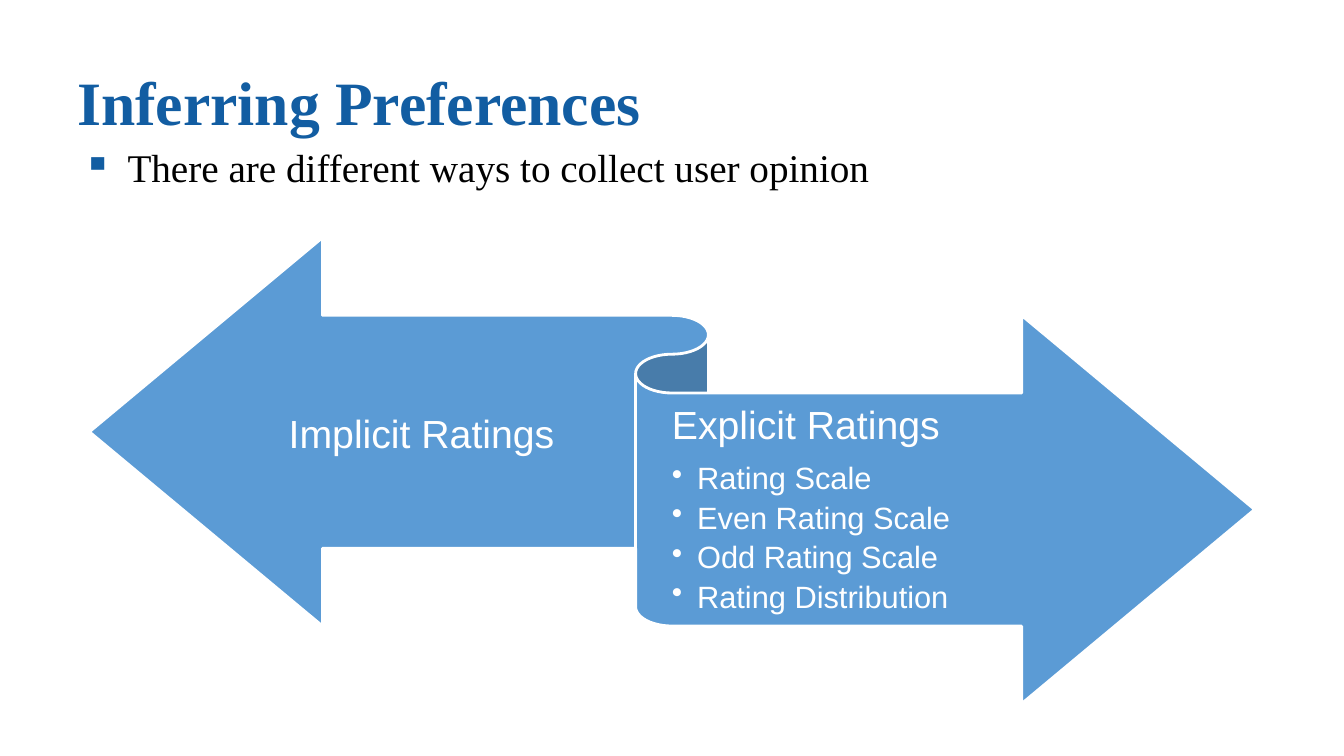
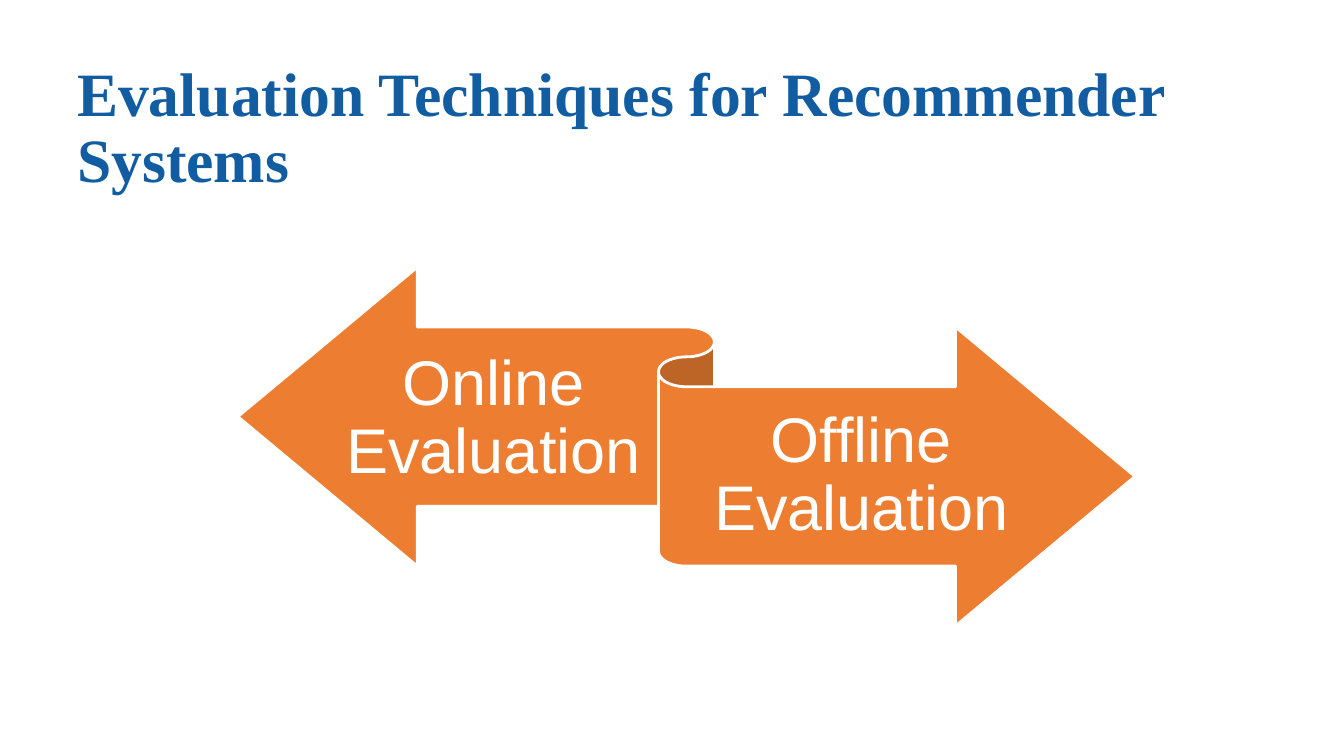
import pptx
import pptx.dml.color
import pptx.enum.shapes
import pptx.enum.text
import pptx.oxml.ns
import pptx.util
from lxml import etree

NAVY = pptx.dml.color.RGBColor(0x12, 0x5D, 0xA2)
BLACK = pptx.dml.color.RGBColor(0x00, 0x00, 0x00)
WHITE = pptx.dml.color.RGBColor(0xFF, 0xFF, 0xFF)
BLUE = pptx.dml.color.RGBColor(0x5B, 0x9B, 0xD5)
ORANGE = pptx.dml.color.RGBColor(0xED, 0x7D, 0x31)

SERIF = "Times New Roman"
SANS = "Arial"
LEFT = pptx.enum.text.PP_ALIGN.LEFT
CENTER = pptx.enum.text.PP_ALIGN.CENTER
TOP = pptx.enum.text.MSO_ANCHOR.TOP
MIDDLE = pptx.enum.text.MSO_ANCHOR.MIDDLE


class Deck:
    GRID = 20
    MARGIN, SPAN = 1, 18
    RIBBON_RATIO = 2.5
    LEFT_ARM = (0.12, 0.18, 0.33, 0.49)
    RIGHT_ARM = (0.5, 0.34, 0.39, 0.49)

    def __init__(self):
        self.file = pptx.Presentation()
        self.file.slide_width = pptx.util.Inches(13.33)
        self.file.slide_height = pptx.util.Inches(7.5)
        self.column = self.file.slide_width / self.GRID
        self.row = self.file.slide_height / self.GRID
        self.page = None

    def new_page(self):
        self.page = self.file.slides.add_slide(self.file.slide_layouts[6])

    def area(self, left, top, width, height):
        return (int(left * self.column), int(top * self.row),
                int(width * self.column), int(height * self.row))

    def text_frame(self, area, anchor, insets):
        frame = self.page.shapes.add_textbox(*area).text_frame
        frame.word_wrap = True
        frame.vertical_anchor = anchor
        frame.margin_left, frame.margin_top, frame.margin_right, frame.margin_bottom = insets
        return frame

    def paragraph(self, frame, text, size, font, color, bold=False, align=LEFT, after=0):
        first = frame.paragraphs[0]
        para = frame.add_paragraph() if first.runs else first
        para.alignment = align
        para.line_spacing = 0.9
        para.space_after = pptx.util.Pt(after)
        span = para.add_run()
        span.text = text
        span.font.size = pptx.util.Pt(size)
        span.font.name = font
        span.font.bold = bold
        span.font.color.rgb = color
        return para

    def bullet(self, para, mark, color, indent, hanging):
        properties = para._p.get_or_add_pPr()
        properties.set("marL", str(pptx.util.Inches(indent)))
        properties.set("indent", str(-pptx.util.Inches(hanging)))
        tint = etree.SubElement(properties, pptx.oxml.ns.qn("a:buClr"))
        etree.SubElement(tint, pptx.oxml.ns.qn("a:srgbClr"), val=str(color))
        etree.SubElement(properties, pptx.oxml.ns.qn("a:buChar"), char=mark)

    def slide_text(self, top, height, anchor):
        side, edge = pptx.util.Inches(0.1), pptx.util.Inches(0.05)
        return self.text_frame(self.area(self.MARGIN, top, self.SPAN, height),
                               anchor, (side, edge, side, edge))

    def title(self, text, top):
        frame = self.slide_text(top, 4.08, MIDDLE)
        self.paragraph(frame, text, 44, SERIF, NAVY, bold=True)

    def body(self, text, top):
        frame = self.slide_text(top, 2.11, TOP)
        para = self.paragraph(frame, text, 28, SERIF, BLACK)
        self.bullet(para, "▪", NAVY, 0.5, 0.44)

    def ribbon(self, left, top, width, color):
        x, y, wide, _ = self.area(left, top, width, 0)
        area = (x, y, wide, int(wide / self.RIBBON_RATIO))
        kind = pptx.enum.shapes.MSO_SHAPE.LEFT_RIGHT_RIBBON
        shape = self.page.shapes.add_shape(kind, *area)
        shape.shadow.inherit = False
        shape.fill.solid()
        shape.fill.fore_color.rgb = color
        shape.line.color.rgb = WHITE
        shape.line.width = pptx.util.Pt(2)
        return area

    def ribbon_label(self, ribbon, arm, heading, size, items=()):
        x, y, wide, high = ribbon
        left, top, width, height = arm
        area = (int(x + left * wide), int(y + top * high),
                int(width * wide), int(height * high))
        insets = (0, pptx.util.Pt(0.28 * size), 0, pptx.util.Pt(0.3 * size))
        frame = self.text_frame(area, MIDDLE, insets)
        self.paragraph(frame, heading, size, SANS, WHITE,
                       align=LEFT if items else CENTER, after=0.4 * size)
        for item in items:
            para = self.paragraph(frame, item, 22, SANS, WHITE, after=4.4)
            self.bullet(para, "•", WHITE, 0.25, 0.25)


def main():
    deck = Deck()

    deck.new_page()
    deck.title("Inferring Preferences", 0.75)
    deck.body("There are different ways to collect user opinion", 3.81)
    ratings = deck.ribbon(1.33, 6.29, 17.34, BLUE)
    deck.ribbon_label(ratings, deck.LEFT_ARM, "Implicit Ratings", 28)
    deck.ribbon_label(ratings, deck.RIGHT_ARM, "Explicit Ratings", 28,
                      ("Rating Scale", "Even Rating Scale",
                       "Odd Rating Scale", "Rating Distribution"))

    deck.new_page()
    deck.title("Evaluation Techniques for Recommender Systems", 1.39)
    evaluation = deck.ribbon(3.54, 7.07, 13.35, ORANGE)
    deck.ribbon_label(evaluation, deck.LEFT_ARM, "Online Evaluation", 45)
    deck.ribbon_label(evaluation, deck.RIGHT_ARM, "Offline Evaluation", 45)

    deck.file.save("out.pptx")


if __name__ == "__main__":
    main()
